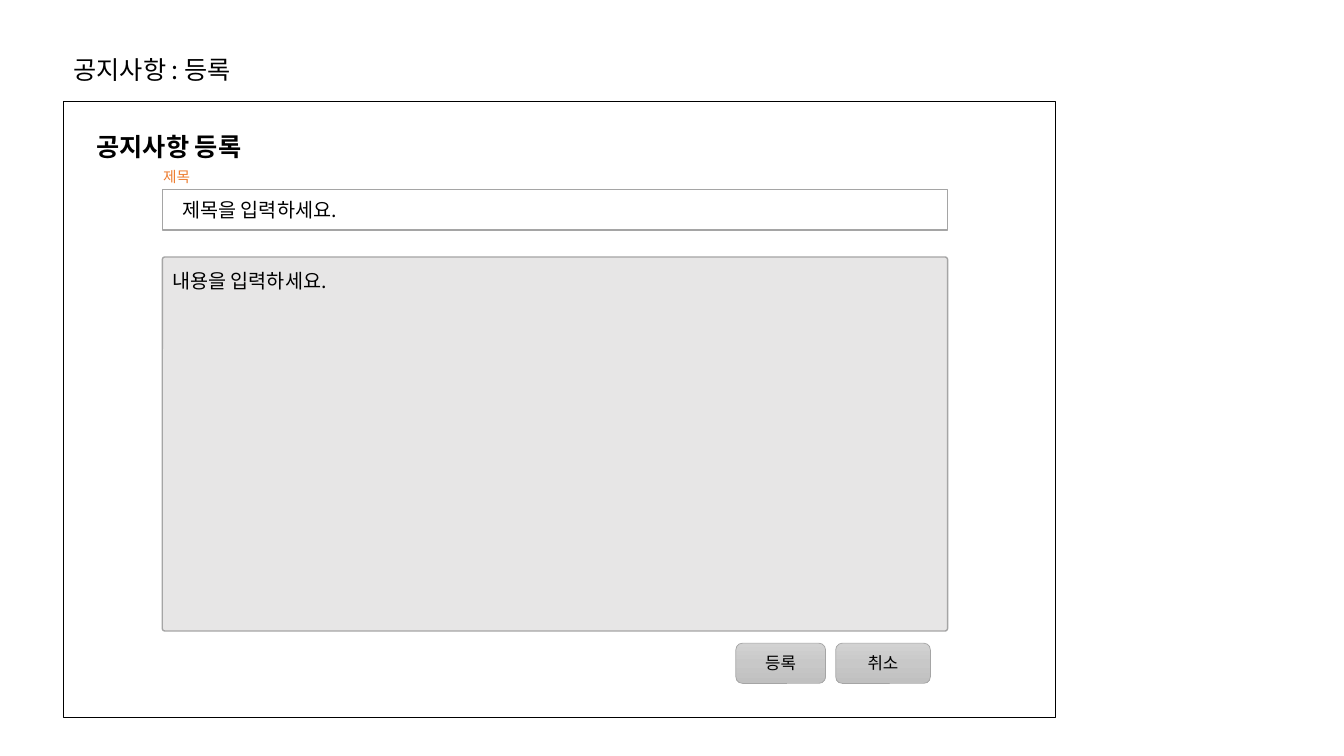
import copy
from dataclasses import dataclass

import pptx
import pptx.dml.color
import pptx.enum.dml
import pptx.enum.shapes
import pptx.enum.text
import pptx.oxml
import pptx.oxml.ns
import pptx.util

SLIDE_WIDTH = pptx.util.Inches(13.333)
SLIDE_HEIGHT = pptx.util.Inches(7.5)
Align = pptx.enum.text.PP_ALIGN


@dataclass(frozen=True)
class Theme:
    font: str = "Noto Sans CJK KR"
    ink: str = "000000"
    paper: str = "FFFFFF"
    accent: str = "ED7D31"
    border: str = "A5A5A5"
    content_fill: str = "E7E6E6"
    button_fill: tuple[str, ...] = ("D2D2D2", "C8C8C8", "C0C0C0")
    title_size: float = 18
    input_size: float = 14
    button_size: float = 12
    label_size: float = 10.5


THEME = Theme()


@dataclass(frozen=True)
class Area:
    """A place on the slide, in percent of the slide's width and height."""
    left: float
    top: float
    width: float
    height: float

    def lengths(self) -> tuple[int, int, int, int]:
        return (round(SLIDE_WIDTH * self.left / 100), round(SLIDE_HEIGHT * self.top / 100),
                round(SLIDE_WIDTH * self.width / 100), round(SLIDE_HEIGHT * self.height / 100))


@dataclass(frozen=True)
class Panel:
    area: Area
    fill: str = THEME.paper
    border: str = THEME.border
    corner: float | None = None


@dataclass(frozen=True)
class Caption:
    text: str
    area: Area
    size: float
    color: str = THEME.ink
    bold: bool = False
    wrap: bool = False
    align: Align = Align.LEFT


@dataclass(frozen=True)
class Button:
    text: str
    left: float
    width: float


FIELD_LEFT, FIELD_WIDTH = 12.08, 58.43
INPUT_WIDTH, INPUT_HEIGHT = 57.08, 4.53
ROW_HEIGHT = 5.33
BUTTON_TOP = 85.07

PANELS = [
    Panel(Area(4.73, 13.47, 73.8, 81.47), border=THEME.ink),
    Panel(Area(FIELD_LEFT, 25.07, FIELD_WIDTH, ROW_HEIGHT), corner=0),
    Panel(Area(FIELD_LEFT, 34, FIELD_WIDTH, 49.47), fill=THEME.content_fill, corner=0.007),
]
CAPTIONS = [
    Caption("공지사항 : 등록", Area(4.73, 6.53, 14.63, ROW_HEIGHT), THEME.title_size),
    Caption("제목을 입력하세요.", Area(12.83, 25.47, INPUT_WIDTH, INPUT_HEIGHT),
            THEME.input_size, wrap=True),
    Caption("공지사항 등록", Area(5.78, 16.67, 13.58, ROW_HEIGHT), THEME.title_size,
            bold=True, align=Align.CENTER),
    Caption("내용을 입력하세요.", Area(FIELD_LEFT, 34.93, INPUT_WIDTH, INPUT_HEIGHT),
            THEME.input_size, wrap=True),
    Caption("제목", Area(11.4, 21.6, 3.83, 3.87), THEME.label_size, THEME.accent),
]
BUTTONS = [Button("취소", 62.18, 7.05), Button("등록", 54.75, 6.68)]


def rgb(color: str) -> pptx.dml.color.RGBColor:
    return pptx.dml.color.RGBColor.from_string(color)


def write(frame: pptx.text.text.TextFrame, text: str, size: float, color: str,
          align: Align, bold: bool = False) -> None:
    paragraph = frame.paragraphs[0]
    paragraph.alignment = align
    run = paragraph.add_run()
    run.text = text
    run.font.size = pptx.util.Pt(size)
    run.font.bold = bold
    run.font.color.rgb = rgb(color)
    run.font.name = THEME.font
    properties = run.font._element
    east_asian = properties.makeelement(pptx.oxml.ns.qn("a:ea"), {"typeface": THEME.font})
    properties.find(pptx.oxml.ns.qn("a:latin")).addnext(east_asian)


def add_box(slide: pptx.slide.Slide, area: Area, rounded: bool, border: str,
            weight: float) -> pptx.shapes.autoshape.Shape:
    kinds = pptx.enum.shapes.MSO_SHAPE
    kind = kinds.ROUNDED_RECTANGLE if rounded else kinds.RECTANGLE
    shape = slide.shapes.add_shape(kind, *area.lengths())
    shape.shadow.inherit = False
    shape.line.color.rgb = rgb(border)
    shape.line.width = pptx.util.Pt(weight)
    return shape


def add_panel(slide: pptx.slide.Slide, panel: Panel) -> None:
    shape = add_box(slide, panel.area, panel.corner is not None, panel.border, 1)
    if panel.corner is not None:
        shape.adjustments[0] = panel.corner
    shape.fill.solid()
    shape.fill.fore_color.rgb = rgb(panel.fill)


def shade(shape: pptx.shapes.autoshape.Shape, colors: tuple[str, ...]) -> None:
    """Fill the shape from top to bottom with evenly spaced gradient colours."""
    shape.fill.gradient()
    shape.fill.gradient_angle = 270
    stop_list = next(shape._element.spPr.iter(pptx.oxml.ns.qn("a:gsLst")))
    for _ in range(len(colors) - len(stop_list)):
        stop_list.append(copy.deepcopy(stop_list[0]))
    for index, (stop, color) in enumerate(zip(shape.fill.gradient_stops, colors)):
        stop.position = index / (len(colors) - 1)
        stop.color.rgb = rgb(color)


def add_button(slide: pptx.slide.Slide, button: Button) -> None:
    area = Area(button.left, BUTTON_TOP, button.width, ROW_HEIGHT)
    shape = add_box(slide, area, True, THEME.border, 0.5)
    shade(shape, THEME.button_fill)
    shape.text_frame.vertical_anchor = pptx.enum.text.MSO_ANCHOR.MIDDLE
    write(shape.text_frame, button.text, THEME.button_size, THEME.ink, Align.CENTER)


def add_caption(slide: pptx.slide.Slide, caption: Caption) -> None:
    frame = slide.shapes.add_textbox(*caption.area.lengths()).text_frame
    frame.word_wrap = caption.wrap
    frame.auto_size = pptx.enum.text.MSO_AUTO_SIZE.SHAPE_TO_FIT_TEXT
    write(frame, caption.text, caption.size, caption.color, caption.align, caption.bold)


def main() -> None:
    presentation = pptx.Presentation()
    presentation.slide_width = SLIDE_WIDTH
    presentation.slide_height = SLIDE_HEIGHT
    slide = presentation.slides.add_slide(presentation.slide_layouts[6])
    for panel in PANELS:
        add_panel(slide, panel)
    for caption in CAPTIONS:
        add_caption(slide, caption)
    for button in BUTTONS:
        add_button(slide, button)
    presentation.save("out.pptx")


if __name__ == "__main__":
    main()
